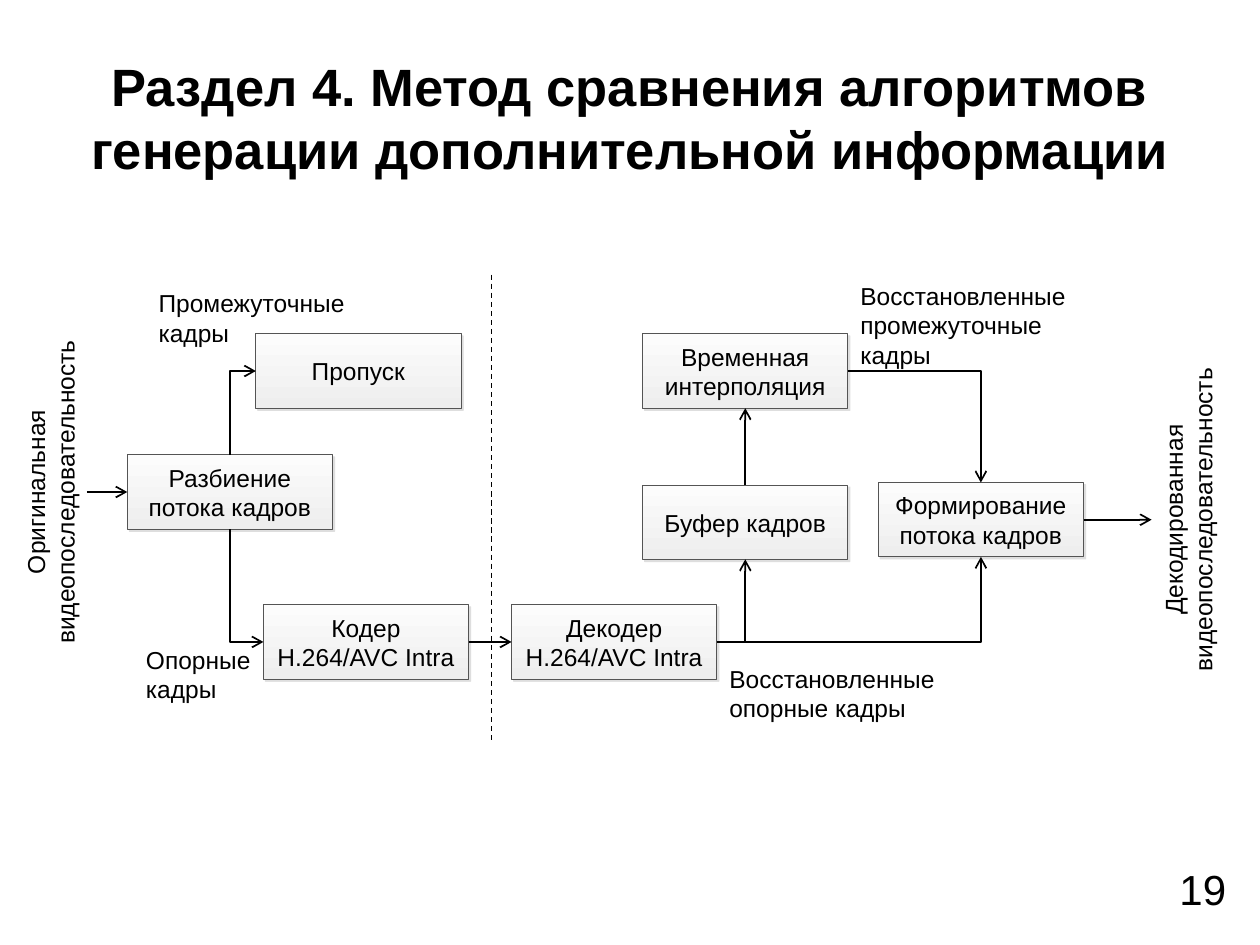
"""Builds a slide with the flow of frames through a coder and a decoder."""
import pptx
import pptx.util
import pptx.dml.color
import pptx.enum.dml
import pptx.enum.shapes
import pptx.enum.text
import pptx.oxml
import pptx.oxml.ns

RGB = pptx.dml.color.RGBColor
BLACK = RGB(0, 0, 0)
EDGE = RGB(0x54, 0x54, 0x54)
LIGHT = RGB(0xFC, 0xFC, 0xFC)
DARK = RGB(0xEE, 0xEE, 0xEE)
ALIGN = pptx.enum.text.PP_ALIGN
ANCHOR = pptx.enum.text.MSO_ANCHOR
LINK = pptx.enum.shapes.MSO_CONNECTOR
TOP, LEFT, BOTTOM, RIGHT = range(4)
BOX_W, BOX_H = 16.3, 5.9
NS = pptx.oxml.ns.nsdecls("a")
SHADE = (
    f'<a:effectLst {NS}><a:outerShdw blurRad="0" dist="21590" dir="2700000" '
    'algn="tl" rotWithShape="0"><a:srgbClr val="BEBEBE"><a:alpha val="50000"/>'
    "</a:srgbClr></a:outerShdw></a:effectLst>"
)


def unit(n):
    """Turn grid units, 100 across and 75 down the slide, into a length."""
    return pptx.util.Inches(n / 10)


def write(frame, text, size=14, bold=False, align=ALIGN.LEFT, anchor=ANCHOR.TOP):
    """Put formatted text into a frame."""
    frame.word_wrap = True
    frame.vertical_anchor = anchor
    para = frame.paragraphs[0]
    para.alignment = align
    run = para.add_run()
    run.text = text
    font = run.font
    font.name, font.size, font.bold = "Arial", pptx.util.Pt(size), bold
    font.color.rgb = BLACK


def label(slide, text, x, y, w, h, turn=0, **form):
    """Add a text box, turned if asked."""
    area = slide.shapes.add_textbox(*map(unit, (x, y, w, h)))
    area.rotation = turn
    write(area.text_frame, text, **form)


def block(slide, text, x, y):
    """Add one shaded step of the flow."""
    shape = slide.shapes.add_shape(
        pptx.enum.shapes.MSO_SHAPE.RECTANGLE, *map(unit, (x, y, BOX_W, BOX_H)))
    shape.shadow.inherit = False
    props = shape._element.spPr
    shape.fill.gradient()
    shape.fill.gradient_angle = 270
    for stop, tone in zip(shape.fill.gradient_stops, (LIGHT, DARK)):
        stop.color.rgb = tone
    shape.line.color.rgb = EDGE
    shape.line.width = pptx.util.Pt(0.6)
    props.remove(props.find(pptx.oxml.ns.qn("a:effectLst")))
    props.append(pptx.oxml.parse_xml(SHADE))
    frame = shape.text_frame
    frame.margin_left = frame.margin_right = unit(0.4)
    frame.margin_top = frame.margin_bottom = unit(0.2)
    write(frame, text, align=ALIGN.CENTER, anchor=ANCHOR.MIDDLE)
    return shape


def style(line, width=1, head=True):
    """Draw a connector in black without shadow, with an arrowhead if asked."""
    line.line.color.rgb = BLACK
    line.line.width = pptx.util.Pt(width)
    if head:
        line.line._get_or_add_ln().append(
            pptx.oxml.parse_xml(f'<a:tailEnd {NS} type="arrow"/>'))
    line._element.spPr.append(pptx.oxml.parse_xml(f"<a:effectLst {NS}/>"))


def stroke(slide, x1, y1, x2, y2):
    """Add a straight connector between two points."""
    return slide.shapes.add_connector(
        LINK.STRAIGHT, *map(unit, (x1, y1, x2, y2)))


def join(slide, start, side, end, goal, kind=LINK.STRAIGHT):
    """Add an arrow from a side of one block to a side of another."""
    line = slide.shapes.add_connector(kind, 0, 0, 0, 0)
    line.begin_connect(start, side)
    line.end_connect(end, goal)
    style(line)
    return line


def bend(slide, start, side, end, goal):
    """Add an arrow with one corner, leaving a block up, down or sideways."""
    line = join(slide, start, side, end, goal, LINK.ELBOW)
    props = line._element.spPr
    props.find(pptx.oxml.ns.qn("a:prstGeom")).set("prst", "bentConnector2")
    if side in (TOP, BOTTOM):
        x, y, w, h = line.left, line.top, line.width, line.height
        line.left, line.top = x + (w - h) // 2, y + (h - w) // 2
        line.width, line.height = h, w
        form = props.find(pptx.oxml.ns.qn("a:xfrm"))
        form.set("rot", str((90 if side == TOP else 270) * 60000))
        form.set("flipH", "1")
        form.set("flipV", "1" if side == TOP else "0")


def main():
    """Build the slide and save it."""
    deck = pptx.Presentation()
    deck.slide_width, deck.slide_height = unit(100), unit(75)
    slide = deck.slides.add_slide(deck.slide_layouts[6])

    label(slide, "Раздел 4. Метод сравнения алгоритмов генерации "
          "дополнительной информации", 5, 3, 90, 12.5, size=30, bold=True,
          align=ALIGN.CENTER, anchor=ANCHOR.MIDDLE)
    label(slide, "19", 75, 68, 23.3, 5.2, size=24, align=ALIGN.RIGHT)

    coder = block(slide, "Кодер H.264/AVC Intra", 20.9, 48)
    decoder = block(slide, "Декодер H.264/AVC Intra", 40.6, 48)
    buffer = block(slide, "Буфер кадров", 51, 38.5)
    inter = block(slide, "Временная интерполяция", 51, 26.5)
    split = block(slide, "Разбиение потока кадров", 10.1, 36.1)
    skip = block(slide, "Пропуск", 20.3, 26.5)
    merge = block(slide, "Формирование потока кадров", 69.7, 38.3)

    border = stroke(slide, 39, 21.8, 39, 58.8)
    border.line.dash_style = pptx.enum.dml.MSO_LINE.DASH
    style(border, width=0.75, head=False)

    join(slide, coder, RIGHT, decoder, LEFT)
    join(slide, buffer, TOP, inter, BOTTOM)
    bend(slide, split, TOP, skip, LEFT)
    bend(slide, split, BOTTOM, coder, LEFT)
    bend(slide, decoder, RIGHT, merge, BOTTOM)
    bend(slide, decoder, RIGHT, buffer, BOTTOM)
    bend(slide, inter, RIGHT, merge, TOP)

    enter = stroke(slide, 6.9, 39.05, 10.1, 39.05)
    enter.end_connect(split, LEFT)
    leave = stroke(slide, 86, 41.25, 91.4, 41.25)
    leave.begin_connect(merge, RIGHT)
    for line in (enter, leave):
        style(line)

    for text, x, y in (("Декодированная", 81.2, 38.4),
                       ("Оригинальная", -9.1, 36.2)):
        label(slide, f"{text} видеопоследовательность", x, y, 26.2, 5.7,
              turn=270, align=ALIGN.CENTER)
    for text, x, y, w, h in (
            ("Восстановленные опорные кадры", 56.9, 52.2, 19.7, 5.7),
            ("Опорные кадры", 10.6, 50.7, 12.5, 5.7),
            ("Промежуточные кадры", 11.6, 22.4, 17.9, 5.7),
            ("Восстановленные промежуточные кадры", 67.3, 21.8, 19.7, 8.1)):
        label(slide, text, x, y, w, h)
    deck.save("out.pptx")


if __name__ == "__main__":
    main()
